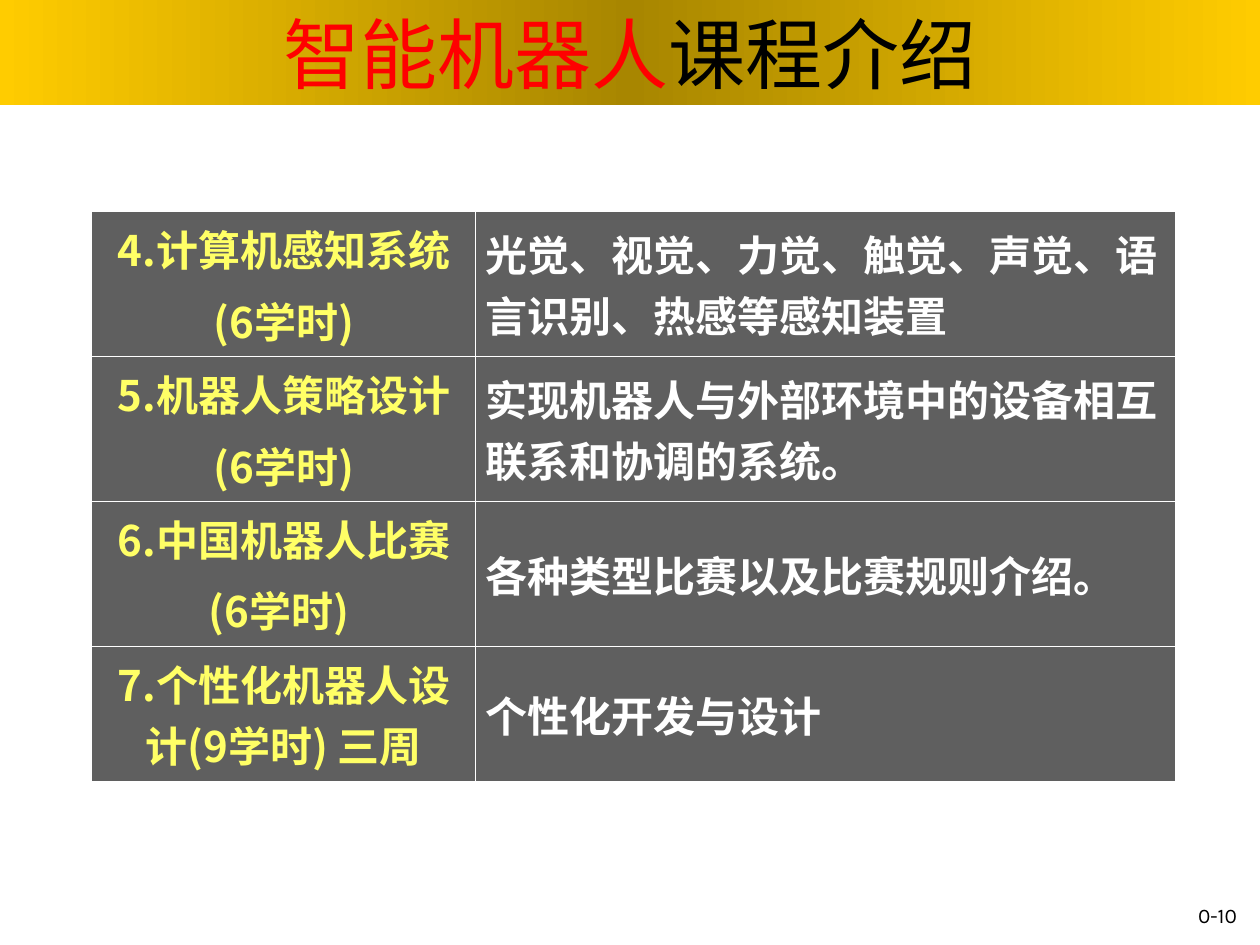
from copy import deepcopy

from lxml import etree
from pptx import Presentation
from pptx.dml.color import RGBColor
from pptx.enum.shapes import MSO_SHAPE
from pptx.enum.text import MSO_ANCHOR, PP_ALIGN
from pptx.oxml.ns import qn
from pptx.util import Inches, Pt

RECTANGLE = MSO_SHAPE.RECTANGLE
MIDDLE, BOTTOM = MSO_ANCHOR.MIDDLE, MSO_ANCHOR.BOTTOM
LEFT, CENTER, RIGHT = PP_ALIGN.LEFT, PP_ALIGN.CENTER, PP_ALIGN.RIGHT

COLORS = {
    "gold": "FFCC00", "bronze": "A88600", "red": "FF0000", "black": "000000",
    "gray": "5F5F5F", "yellow": "FFFF66", "white": "FFFFFF",
}
WIDTH, HEIGHT = Inches(10), Inches(7.5)
BAND = (0, 0, 1, 0.111)
NUMBER_BOX = (0.9, 0.944, 0.0915, 0.045)
TABLE_BOX = (0.0733, 0.224, 0.859, 0.603)
PLAIN_TABLE_STYLE = "{2D5ABB26-0587-4C30-8999-92F81FD0307C}"
COLUMN_WIDTHS = (3.04, 5.55)
ROW_HEIGHTS = (1.15, 1.15, 1.15, 1.07)
CELL_FORMAT = {
    "vertical_anchor": MIDDLE,
    "margin_left": Inches(0.08), "margin_right": Inches(0.08),
    "margin_top": Inches(0.05), "margin_bottom": Inches(0.05),
}
TITLE_FONT = {"name": "Arial", "size": Pt(44)}
NUMBER_FONT = {"name": "Karla", "size": Pt(11.9)}
TABLE_FONT = {"name": "Noto Sans CJK SC", "size": Pt(24), "bold": True}
COURSES = [
    (["4.计算机感知系统", "(6学时)"],
     "光觉、视觉、力觉、触觉、声觉、语言识别、热感等感知装置"),
    (["5.机器人策略设计", "(6学时)"],
     "实现机器人与外部环境中的设备相互联系和协调的系统。"),
    (["6.中国机器人比赛", "(6学时) "], "各种类型比赛以及比赛规则介绍。"),
    (["7.个性化机器人设计(9学时) 三周"], "个性化开发与设计"),
]


def color(name):
    return RGBColor.from_string(COLORS[name])


def place(box):
    return [round(share * side) for share, side in zip(box, (WIDTH, HEIGHT) * 2)]


def set_format(target, values):
    for name, value in values.items():
        setattr(target, name, value)


def add_run(paragraph, text, color_name, font):
    run = paragraph.add_run()
    run.text = text
    set_format(run.font, font)
    run.font.color.rgb = color(color_name)
    east_asian = etree.SubElement(run.font._element, qn("a:ea"))
    east_asian.set("typeface", font["name"])


def add_band(slide):
    shape = slide.shapes.add_shape(RECTANGLE, *place(BAND))
    shape.shadow.inherit = False
    shape.line.fill.background()
    shape.fill.gradient()
    shape.fill.gradient_angle = 0
    first = shape.fill._xPr.find(qn("a:gradFill")).find(qn("a:gsLst"))[0]
    first.addnext(deepcopy(first))
    stops = zip(shape.fill.gradient_stops, (0, 0.5, 1), ("gold", "bronze", "gold"))
    for stop, position, name in stops:
        stop.position = position
        stop.color.rgb = color(name)


def add_text(slide, box, runs, font, anchor, paragraph_format):
    frame = slide.shapes.add_textbox(*place(box)).text_frame
    set_format(frame, {"word_wrap": True, "vertical_anchor": anchor})
    paragraph = frame.paragraphs[0]
    set_format(paragraph, paragraph_format)
    for text, color_name in runs:
        add_run(paragraph, text, color_name, font)


def add_border(cell, side):
    properties = cell._tc.get_or_add_tcPr()
    line = etree.Element(qn(f"a:{side}"), w=str(Pt(0.75)))
    fill = etree.SubElement(line, qn("a:solidFill"))
    etree.SubElement(fill, qn("a:srgbClr"), val=COLORS["white"])
    properties.find(qn("a:solidFill")).addprevious(line)


def fill_cell(cell, lines, color_name, alignment, sides):
    set_format(cell, CELL_FORMAT)
    cell.fill.solid()
    cell.fill.fore_color.rgb = color("gray")
    for side in sides:
        add_border(cell, side)
    frame = cell.text_frame
    for index, text in enumerate(lines):
        paragraph = frame.add_paragraph() if index else frame.paragraphs[0]
        paragraph.alignment = alignment
        paragraph.space_before = Pt(6 if index else 0)
        add_run(paragraph, text, color_name, TABLE_FONT)


def add_course_table(slide):
    table = slide.shapes.add_table(
        len(COURSES), len(COLUMN_WIDTHS), *place(TABLE_BOX)).table
    set_format(table, {"first_row": False, "horz_banding": False})
    table._tbl.tblPr.find(qn("a:tableStyleId")).text = PLAIN_TABLE_STYLE
    for column, width in zip(table.columns, COLUMN_WIDTHS):
        column.width = Inches(width)
    last = len(COURSES) - 1
    for index, (course, content) in enumerate(COURSES):
        row = table.rows[index]
        row.height = Inches(ROW_HEIGHTS[index])
        inner = ["lnT"] * (index > 0) + ["lnB"] * (index < last)
        fill_cell(row.cells[0], course, "yellow", CENTER, ["lnR"] + inner)
        fill_cell(row.cells[1], [content], "white", LEFT, ["lnL"] + inner)


def main():
    presentation = Presentation()
    set_format(presentation, {"slide_width": WIDTH, "slide_height": HEIGHT})
    slide = presentation.slides.add_slide(presentation.slide_layouts[6])
    add_band(slide)
    add_text(slide, NUMBER_BOX, [("0-10", "black")], NUMBER_FONT, BOTTOM,
             {"alignment": RIGHT, "line_spacing": 0.9})
    add_text(slide, BAND, [("智能机器人", "red"), ("课程介绍", "black")],
             TITLE_FONT, MIDDLE, {"alignment": CENTER})
    add_course_table(slide)
    presentation.save("out.pptx")


if __name__ == "__main__":
    main()
